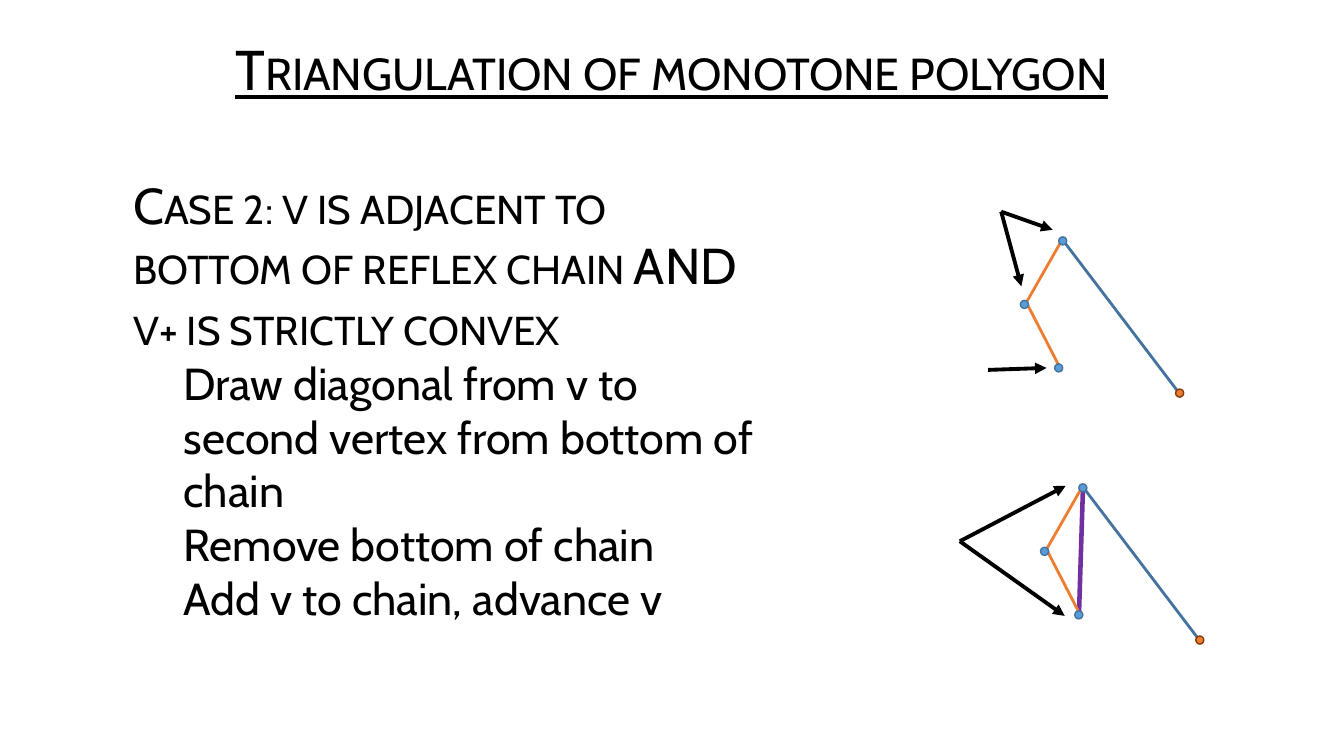
from lxml.etree import SubElement
from pptx import Presentation
from pptx.dml.color import RGBColor
from pptx.enum.shapes import MSO_CONNECTOR, MSO_SHAPE
from pptx.enum.text import MSO_ANCHOR, MSO_AUTO_SIZE, PP_ALIGN
from pptx.oxml.ns import qn
from pptx.util import Inches, Pt

COLORS = {
    "black": "000000", "diagonal": "7030A0", "chain": "ED7D31",
    "vertex": "5B9BD5", "edge": "43739E", "next_outline": "843C0B",
}
FONT = "Cabin"
TITLE = "Triangulation of monotone polygon"
CASE = "Case 2: v is adjacent to bottom of reflex chain AND v+ is strictly convex"
STEPS = [
    "Draw diagonal from v to second vertex from bottom of chain",
    "Remove bottom of chain",
    "Add v to chain, advance v",
]

# Polygon geometry in inches; the second drawing repeats the first one lower down.
CHAIN = [(10.54, 2.37), (10.18, 3.0), (10.52, 3.66)]
EDGE = [(10.54, 2.38), (11.71, 3.92)]
CHAIN_VERTICES = [(10.12, 2.98), (10.46, 3.61), (10.5, 2.35)]
NEXT_VERTEX = (11.66, 3.86)
VERTEX_SIZE = 0.08
POLYGON_OFFSETS = [(0, 0), (0.2, 2.45)]
DIAGONAL = [(10.74, 4.88), (10.7, 6.14)]
ARROWS = [
    [(9.93, 2.1), (10.44, 2.28)],
    [(9.93, 2.1), (10.13, 2.84)],
    [(9.8, 3.67), (10.38, 3.65)],
    [(9.52, 5.37), (10.57, 4.82)],
    [(9.52, 5.37), (10.56, 6.11)],
]


def color(name):
    return RGBColor.from_string(COLORS[name])


def place(placeholder, left, top, width, height):
    placeholder.left, placeholder.top = Inches(left), Inches(top)
    placeholder.width, placeholder.height = Inches(width), Inches(height)
    frame = placeholder.text_frame
    frame.word_wrap = True
    frame.auto_size = MSO_AUTO_SIZE.NONE
    frame.vertical_anchor = MSO_ANCHOR.MIDDLE
    return frame


def write(paragraph, text, size, indent=0, small_caps=False):
    """Fill a paragraph without a bullet, indented by a number of inches."""
    run = paragraph.add_run()
    run.text = text
    if small_caps:
        run._r.get_or_add_rPr().set("cap", "small")
    properties = paragraph._p.get_or_add_pPr()
    properties.set("marL", str(Inches(indent)))
    properties.set("indent", "0")
    SubElement(properties, qn("a:buNone"))
    paragraph.space_before = Pt(0)
    paragraph.font.name = FONT
    paragraph.font.size = Pt(size)
    paragraph.font.color.rgb = color("black")


def add_line(slide, points, line_color, width, arrow=False):
    (x1, y1), (x2, y2) = points
    connector = slide.shapes.add_connector(
        MSO_CONNECTOR.STRAIGHT, Inches(x1), Inches(y1), Inches(x2), Inches(y2))
    connector.line.color.rgb = color(line_color)
    connector.line.width = Pt(width)
    if arrow:
        SubElement(connector.line._get_or_add_ln(), qn("a:tailEnd"), type="triangle")
    SubElement(connector._element.spPr, qn("a:effectLst"))


def add_vertex(slide, position, fill, outline):
    x, y = position
    vertex = slide.shapes.add_shape(
        MSO_SHAPE.OVAL, Inches(x), Inches(y), Inches(VERTEX_SIZE), Inches(VERTEX_SIZE))
    vertex.shadow.inherit = False
    vertex.fill.solid()
    vertex.fill.fore_color.rgb = color(fill)
    vertex.line.color.rgb = color(outline)
    vertex.line.width = Pt(1)


def add_polygon(slide, offset):
    def shift(points):
        return [(x + offset[0], y + offset[1]) for x, y in points]

    start, *rest = [(Inches(x), Inches(y)) for x, y in shift(CHAIN)]
    builder = slide.shapes.build_freeform(*start)
    builder.add_line_segments(rest, close=False)
    chain = builder.convert_to_shape()
    chain.shadow.inherit = False
    chain.fill.background()
    chain.line.color.rgb = color("chain")
    chain.line.width = Pt(2)

    add_line(slide, shift(EDGE), "edge", 2)
    for position in shift(CHAIN_VERTICES):
        add_vertex(slide, position, "vertex", "edge")
    add_vertex(slide, shift([NEXT_VERTEX])[0], "chain", "next_outline")


def main():
    presentation = Presentation()
    presentation.slide_width = Inches(13.33)
    presentation.slide_height = Inches(7.5)
    slide = presentation.slides.add_slide(presentation.slide_layouts[1])

    title = place(slide.shapes.title, 1.74, 0.29, 9.84, 0.85).paragraphs[0]
    write(title, TITLE, 40, small_caps=True)
    title.alignment = PP_ALIGN.CENTER
    title.line_spacing = 0.9
    title.font.underline = True

    body = place(slide.placeholders[1], 0.72, 1.32, 6.86, 5.28)
    write(body.paragraphs[0], CASE, 36, indent=0.5, small_caps=True)
    for step in STEPS:
        paragraph = body.add_paragraph()
        paragraph.level = 1
        write(paragraph, step, 32, indent=1)

    add_line(slide, DIAGONAL, "diagonal", 3.25)
    for offset in POLYGON_OFFSETS:
        add_polygon(slide, offset)
    for arrow in ARROWS:
        add_line(slide, arrow, "black", 2.75, arrow=True)

    presentation.save("out.pptx")


if __name__ == "__main__":
    main()
